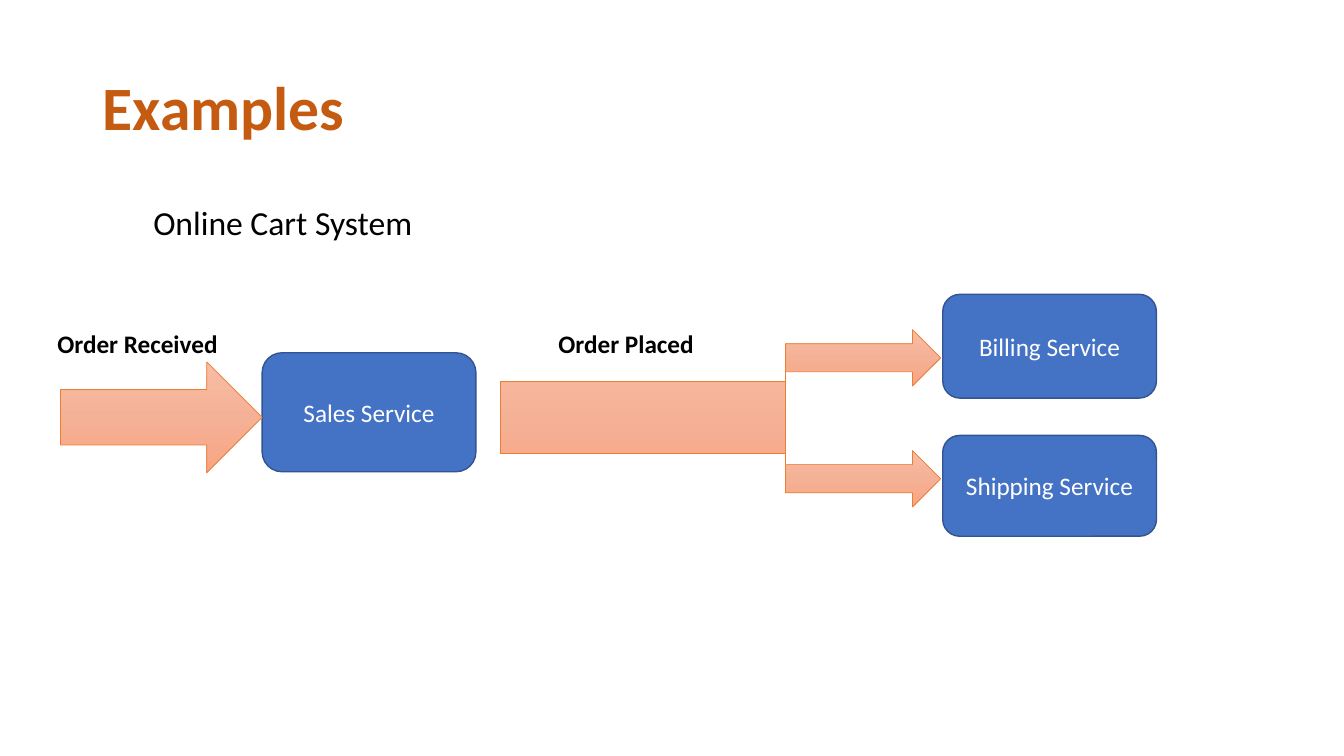
from copy import deepcopy
from dataclasses import dataclass

from pptx import Presentation
from pptx.dml.color import RGBColor
from pptx.enum.shapes import MSO_SHAPE as Preset
from pptx.enum.text import MSO_ANCHOR as Anchor, MSO_AUTO_SIZE as AutoSize, PP_ALIGN as Align
from pptx.oxml.ns import qn
from pptx.util import Emu, Pt

EMU_PER_PX = 9144
ARROW_GRADIENT = ((0, "F7BDA5"), (0.5, "F5B196"), (1, "F8A582"))


@dataclass(frozen=True)
class Box:
    left: int
    top: int
    width: int
    height: int


@dataclass(frozen=True)
class Service:
    name: str
    box: Box


@dataclass(frozen=True)
class Flow:
    box: Box
    head: float = 0.5


@dataclass(frozen=True)
class Event:
    name: str
    box: Box


SERVICES = (
    Service("Sales Service", Box(260, 350, 212, 118)),
    Service("Billing Service", Box(935, 292, 212, 103)),
    Service("Shipping Service", Box(935, 432, 212, 100)),
)
FLOWS = (
    Flow(Box(60, 359, 200, 110)),
    Flow(Box(496, 343, 283, 143), head=0),
    Flow(Box(779, 327, 154, 56)),
    Flow(Box(779, 447, 154, 56)),
)
EVENTS = (
    Event("Order Received", Box(47, 321, 212, 40)),
    Event("Order Placed", Box(544, 321, 212, 40)),
)


def px(length: int) -> Emu:
    return Emu(length * EMU_PER_PX)


def color(hex_code: str) -> RGBColor:
    return RGBColor.from_string(hex_code)


def place(box: Box) -> tuple:
    return px(box.left), px(box.top), px(box.width), px(box.height)


def apply(target, formats: dict) -> None:
    for attribute, value in formats.items():
        setattr(target, attribute, value)


def move(holder, box: Box) -> None:
    apply(holder, dict(zip(("left", "top", "width", "height"), place(box))))


def write(holder, words: str, size: int, ink: str, frame: dict, paragraph: dict,
          bold: bool = False) -> None:
    text_frame = holder.text_frame
    text_frame.text = words
    apply(text_frame, {"word_wrap": True, **frame})
    line = text_frame.paragraphs[0]
    apply(line, paragraph)
    font = line.runs[0].font
    apply(font, {"name": "Calibri", "size": Pt(size), "bold": bold})
    font.color.rgb = color(ink)


def add_preset(slide, preset: Preset, box: Box, outline: str, weight: float):
    shape = slide.shapes.add_shape(preset, *place(box))
    shape.shadow.inherit = False
    shape.line.color.rgb = color(outline)
    shape.line.width = Pt(weight)
    return shape


def draw_service(slide, service: Service) -> None:
    block = add_preset(slide, Preset.ROUNDED_RECTANGLE, service.box, "325491", 1)
    block.fill.solid()
    block.fill.fore_color.rgb = color("4472C4")
    write(block, service.name, 18, "FFFFFF",
          {"vertical_anchor": Anchor.MIDDLE}, {"alignment": Align.CENTER})


def draw_flow(slide, flow: Flow) -> None:
    arrow = add_preset(slide, Preset.RIGHT_ARROW, flow.box, "ED7D31", 0.5)
    arrow.adjustments[0] = 0.5
    arrow.adjustments[1] = flow.head
    arrow.fill.gradient()
    arrow.fill.gradient_angle = 270
    stop_list = arrow._element.spPr.find(".//" + qn("a:gsLst"))
    stop_list.insert(1, deepcopy(stop_list[0]))
    for stop, (position, tint) in zip(arrow.fill.gradient_stops, ARROW_GRADIENT):
        stop.position = position
        stop.color.rgb = color(tint)


def draw_event(slide, event: Event) -> None:
    label = slide.shapes.add_textbox(*place(event.box))
    write(label, event.name, 18, "000000",
          {"auto_size": AutoSize.SHAPE_TO_FIT_TEXT}, {"alignment": Align.LEFT}, bold=True)


def fill_placeholders(slide) -> None:
    heading, topic = slide.placeholders
    move(heading, Box(92, 37, 1150, 145))
    write(heading, "Examples", 44, "C55A11",
          {"vertical_anchor": Anchor.MIDDLE, "auto_size": AutoSize.NONE},
          {"alignment": Align.LEFT, "line_spacing": 0.9}, bold=True)
    move(topic, Box(92, 200, 1150, 476))
    write(topic, "Online Cart System", 24, "000000",
          {"vertical_anchor": Anchor.TOP, "auto_size": AutoSize.NONE},
          {"level": 1, "alignment": Align.LEFT, "line_spacing": 0.9, "space_before": Pt(5)})
    properties = topic.text_frame.paragraphs[0]._p.get_or_add_pPr()
    properties.set("marL", str(px(50)))
    properties.set("indent", "0")
    properties.append(properties.makeelement(qn("a:buNone"), {}))


def main() -> None:
    deck = Presentation()
    apply(deck, {"slide_width": px(1333), "slide_height": px(750)})
    slide = deck.slides.add_slide(deck.slide_layouts[1])
    fill_placeholders(slide)
    for service in SERVICES:
        draw_service(slide, service)
    for flow in FLOWS:
        draw_flow(slide, flow)
    for event in EVENTS:
        draw_event(slide, event)
    deck.save("out.pptx")


if __name__ == "__main__":
    main()
